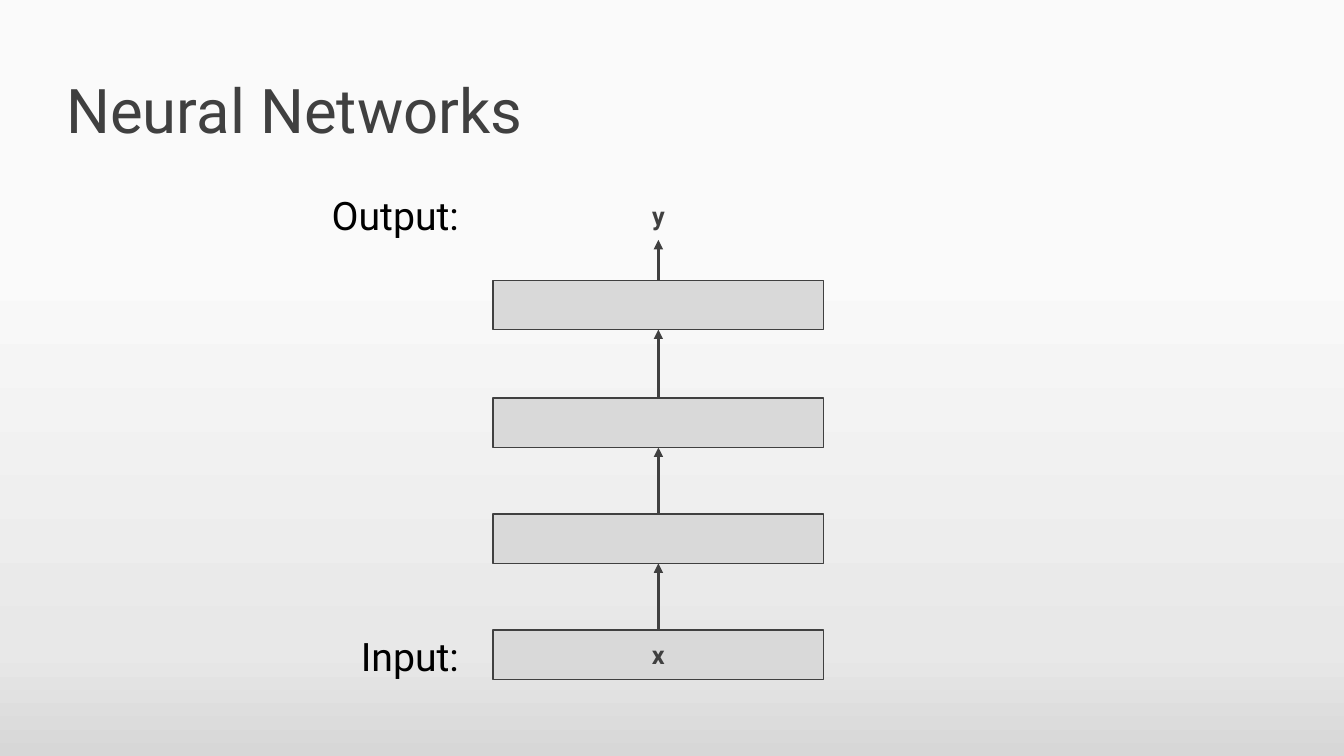
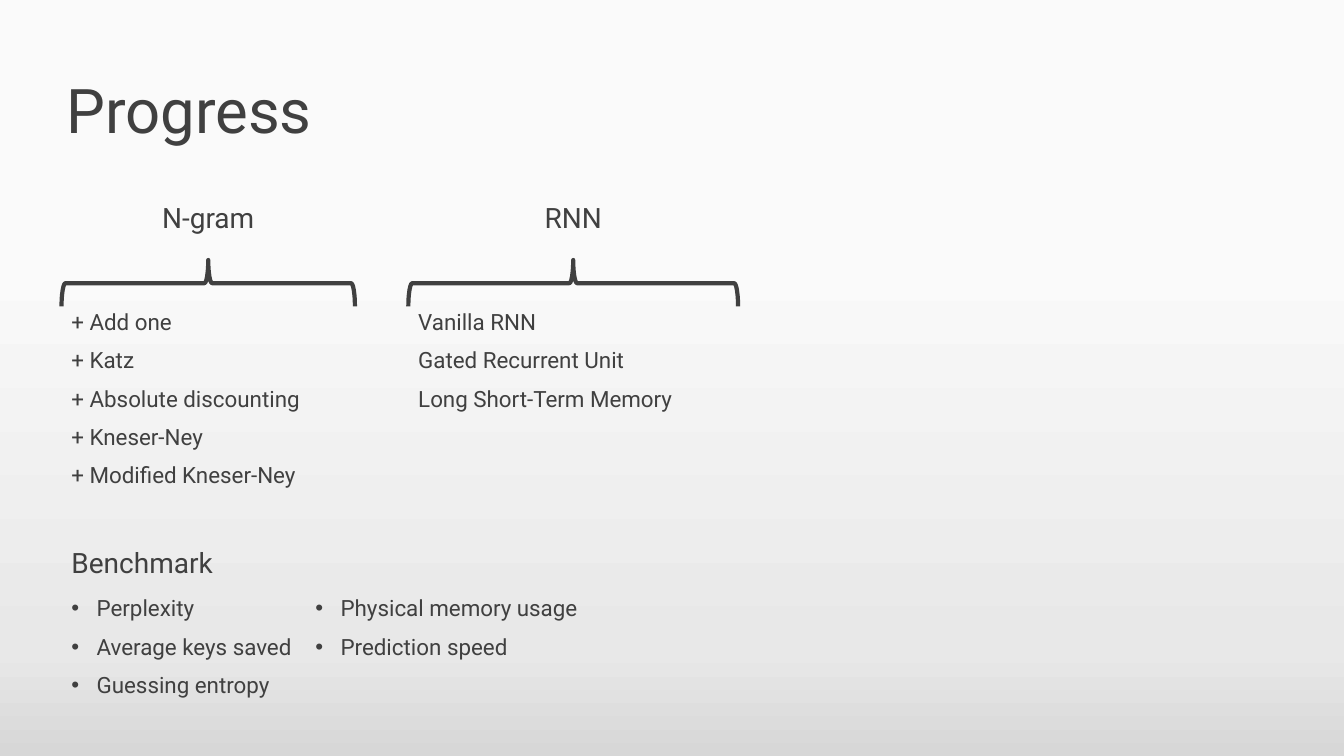
from lxml import etree
from pptx import Presentation
from pptx.dml.color import RGBColor
from pptx.enum import shapes, text
from pptx.oxml import ns
from pptx.util import Inches, Pt

FONT = "Roboto"
DARK = RGBColor(0x40, 0x40, 0x40)
BLACK = RGBColor(0, 0, 0)
GRAY = RGBColor(0xD9, 0xD9, 0xD9)
STOPS = [(34, "FAFAFA"), (86, "E8E8E8"), (100, "D7D7D7"), (100, "E4E4E4")]

LEFT, CENTER, RIGHT = text.PP_ALIGN.LEFT, text.PP_ALIGN.CENTER, text.PP_ALIGN.RIGHT
TOP, MIDDLE = text.MSO_ANCHOR.TOP, text.MSO_ANCHOR.MIDDLE

# Network nodes from top to bottom: top edge, text, drawn as a layer
NODES = [
    (1.89, "y", False),
    (2.78, "", True),
    (3.95, "", True),
    (5.1, "", True),
    (6.25, "x", True),
]
NODE_X, NODE_W, NODE_H = 4.89, 3.28, 0.49
LABELS = [("Output:", 1.85), ("Input:", 6.22)]

# Model families: left edge, width, heading, models
FAMILIES = [
    (0.61, 2.91, "N-gram", ["+ Add one", "+ Katz", "+ Absolute discounting",
                            "+ Kneser-Ney", "+ Modified Kneser-Ney"]),
    (4.05, 3.27, "RNN", ["Vanilla RNN", "Gated Recurrent Unit",
                         "Long Short-Term Memory"]),
]
HEAD_W, HEAD_H = 1.68, 0.55
BRACE_Y, BRACE_H = 2.81, 0.46
MEASURES = [
    (0.61, ["Perplexity", "Average keys saved", "Guessing entropy"]),
    (3.03, ["Physical memory usage", "Prediction speed"]),
]


def sub(parent, tag, **attrs):
    return etree.SubElement(parent, ns.qn(tag), attrs)


def paint(master):
    """Give all slides the shared vertical gradient."""
    fill = master.background.fill
    fill.gradient()
    fill.gradient_angle = 270
    grad = next(master.element.iter(ns.qn("a:gsLst")))
    for stop in list(grad):
        grad.remove(stop)
    for pos, color in STOPS:
        sub(sub(grad, "a:gs", pos=str(pos * 1000)), "a:srgbClr", val=color)


def write(shape, lines, size, color=DARK, align=LEFT, anchor=MIDDLE,
          bold=False, space=0.9, before=0, bullet=False):
    frame = shape.text_frame
    frame.word_wrap = True
    frame.vertical_anchor = anchor
    for i, line in enumerate(lines):
        para = frame.add_paragraph() if i else frame.paragraphs[0]
        para.alignment = align
        para.line_spacing = space
        para.space_before = Pt(before)
        if bullet:
            props = para._p.get_or_add_pPr()
            props.set("marL", str(Inches(0.25)))
            props.set("indent", str(Inches(-0.25)))
            sub(props, "a:buFont", typeface="Arial")
            sub(props, "a:buChar", char="•")
        run = para.add_run()
        run.text = line
        font = run.font
        font.name, font.size, font.bold = FONT, Pt(size), bold
        font.color.rgb = color


def box(slide, x, y, w, h, lines, size, **style):
    shape = slide.shapes.add_textbox(Inches(x), Inches(y), Inches(w), Inches(h))
    write(shape, lines, size, **style)
    return shape


def outline(slide, kind, x, y, w, h, width):
    shape = slide.shapes.add_shape(kind, Inches(x), Inches(y), Inches(w), Inches(h))
    shape.shadow.inherit = False
    shape.fill.background()
    shape.line.color.rgb = DARK
    shape.line.width = Pt(width)
    return shape


def layer(slide, y, name):
    rect = outline(slide, shapes.MSO_SHAPE.RECTANGLE, NODE_X, y, NODE_W, NODE_H, 1)
    rect.fill.solid()
    rect.fill.fore_color.rgb = GRAY
    if name:
        write(rect, [name], 18, align=CENTER, bold=True, space=1)
    return rect


def arrow(slide, low, high):
    """Point from the top of the low node to the bottom of the high one."""
    line = slide.shapes.add_connector(shapes.MSO_CONNECTOR.STRAIGHT, 0, 0, 0, 0)
    line.begin_connect(low, 0)
    line.end_connect(high, 2)
    line.line.color.rgb = DARK
    line.line.width = Pt(2.25)
    sub(line.line._get_or_add_ln(), "a:tailEnd", type="triangle")
    sub(line._element.spPr, "a:effectLst")


def brace(slide, x, w):
    """Lay a left brace on its side, its tip up, over a column."""
    shape = outline(slide, shapes.MSO_SHAPE.LEFT_BRACE, x + (w - BRACE_H) / 2,
                    BRACE_Y - w / 2, BRACE_H, w, 3)
    shape.rotation = 90


def start(deck, title):
    slide = deck.slides.add_slide(deck.slide_layouts[6])
    box(slide, 0.56, 0.4, 12.21, 1.45, [title], 44)
    return slide


def network(deck):
    slide = start(deck, "Neural Networks")
    above = None
    for y, name, drawn in NODES:
        if drawn:
            node = layer(slide, y, name)
        else:
            node = box(slide, NODE_X, y, NODE_W, NODE_H, [name], 18,
                       align=CENTER, bold=True, space=1)
        if above is not None:
            arrow(slide, node, above)
        above = node
    for label, y in LABELS:
        box(slide, 3.05, y, 1.6, 0.57, [label], 28, color=BLACK,
            align=RIGHT, anchor=TOP, space=1)


def progress(deck):
    slide = start(deck, "Progress")
    for x, w, head, models in FAMILIES:
        box(slide, x + (w - HEAD_W) / 2, 1.9, HEAD_W, HEAD_H, [head], 20,
            align=CENTER, before=10)
        brace(slide, x, w)
        box(slide, x, 3.04, w, 2.1, models, 16, anchor=TOP, before=10)
    box(slide, 0.61, 5.32, 1.91, HEAD_H, ["Benchmark"], 20, before=10)
    for x, names in MEASURES:
        box(slide, x, 5.88, 2.91, 1.27, names, 16, anchor=TOP, before=10,
            bullet=True)


def main():
    deck = Presentation()
    deck.slide_width, deck.slide_height = Inches(13.33), Inches(7.5)
    paint(deck.slide_master)
    network(deck)
    progress(deck)
    deck.save("out.pptx")


if __name__ == "__main__":
    main()
